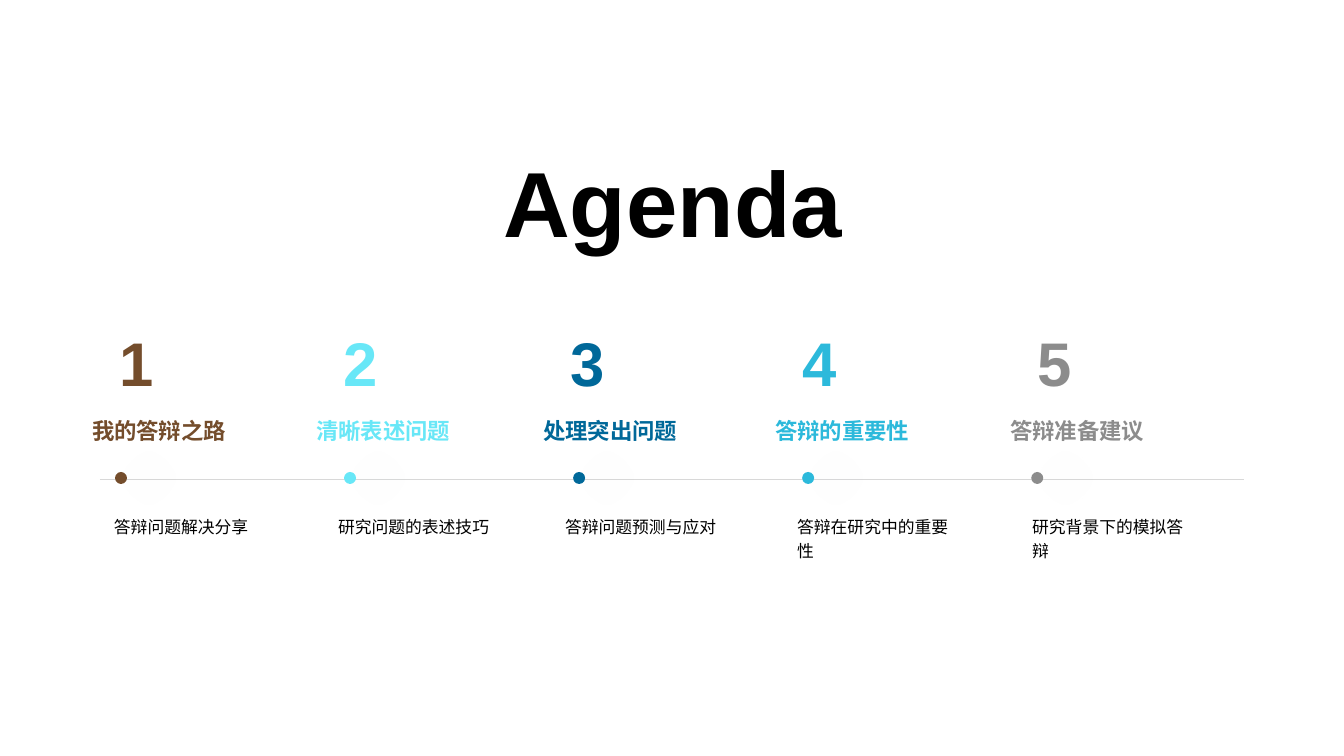
from lxml.etree import SubElement as Sub
from pptx import Presentation
from pptx.dml.color import RGBColor as RGB
from pptx.enum.shapes import MSO_CONNECTOR as LINE, MSO_SHAPE as SHAPE
from pptx.enum.text import MSO_ANCHOR as ANCHOR, MSO_AUTO_SIZE as FIT, PP_ALIGN as ALIGN
from pptx.oxml.ns import qn
from pptx.util import Inches, Pt

# Content: heading, detail, colour, shadow colour, left edge in px
TITLE = "Agenda"
STEPS = [
    ("我的答辩之路", "答辩问题解决分享", "brown", "blue", 104),
    ("清晰表述问题", "研究问题的表述技巧", "aqua", "aqua", 328),
    ("处理突出问题", "答辩问题预测与应对", "blue", "dark", 555),
    ("答辩的重要性", "答辩在研究中的重要性", "sky", "sky", 787),
    ("答辩准备建议", "研究背景下的模拟答辩", "grey", "grey", 1022),
]
COLORS = {
    "black": "000000", "rule": "D8D8D8", "brown": "744D2C", "aqua": "68E7F7",
    "blue": "006899", "sky": "2CB9DB", "grey": "8C8C8C", "dark": "6C6C6C",
}
FONT = "Arial"
SCALE = 914400 / 100.8
DOT, DOT_X, DOT_Y, DOT_STEP = 12, 115, 472, 229
AXIS_Y = 479


def px(*nums):
    return [round(n * SCALE) for n in nums]


def color(name):
    return RGB.from_string(COLORS[name])


def write(text, box, size, tint="black", bold=True, align=ALIGN.CENTER,
          wrap=True, space=1.0, shape=None):
    if shape is None:
        shape = slide.shapes.add_textbox(*px(*box))
    else:
        shape.left, shape.top, shape.width, shape.height = px(*box)
    frame = shape.text_frame
    frame.text = text
    frame.word_wrap = wrap
    frame.auto_size = FIT.SHAPE_TO_FIT_TEXT
    frame.vertical_anchor = ANCHOR.TOP
    para = frame.paragraphs[0]
    para.alignment, para.line_spacing = align, space
    font = para.runs[0].font
    font.name, font.size, font.bold = FONT, Pt(size), bold
    font.color.rgb = color(tint)


def glow(shape, tint):
    effects = Sub(shape._element.spPr, qn("a:effectLst"))
    shade = Sub(effects, qn("a:outerShdw"), blurRad=str(Pt(32)),
                dist=str(Pt(20)), dir="0", algn="ctr", rotWithShape="0")
    tone = Sub(shade, qn("a:srgbClr"), val=COLORS[tint])
    Sub(tone, qn("a:alpha"), val="10000")


deck = Presentation()
deck.slide_width, deck.slide_height = Inches(13.33), Inches(7.5)
slide = deck.slides.add_slide(deck.slide_layouts[5])

# Title
write(TITLE, (491, 140, 363, 122), 66, wrap=False, shape=slide.shapes.title)

# Timeline axis
axis = slide.shapes.add_connector(LINE.STRAIGHT, *px(100, AXIS_Y, 1244, AXIS_Y))
axis.line.color.rgb = color("rule")
axis.line.width = Pt(0.5)
Sub(axis._element.spPr, qn("a:effectLst"))

# Steps: number, heading, detail and dot
for i, (head, detail, tint, shade, x) in enumerate(STEPS):
    write(str(i + 1), (x, 320, 65, 85), 44, tint)
    write(head, (x - 23, 412, 156, 37), 16, tint, wrap=False)
    write(detail, (x, 508, 184, 32 if len(detail) < 10 else 56), 12,
          bold=False, align=ALIGN.LEFT, space=1.2)
    dot = slide.shapes.add_shape(
        SHAPE.OVAL, *px(DOT_X + i * DOT_STEP, DOT_Y, DOT, DOT))
    dot.fill.solid()
    dot.fill.fore_color.rgb = color(tint)
    dot.line.fill.background()
    glow(dot, shade)

deck.save("out.pptx")
